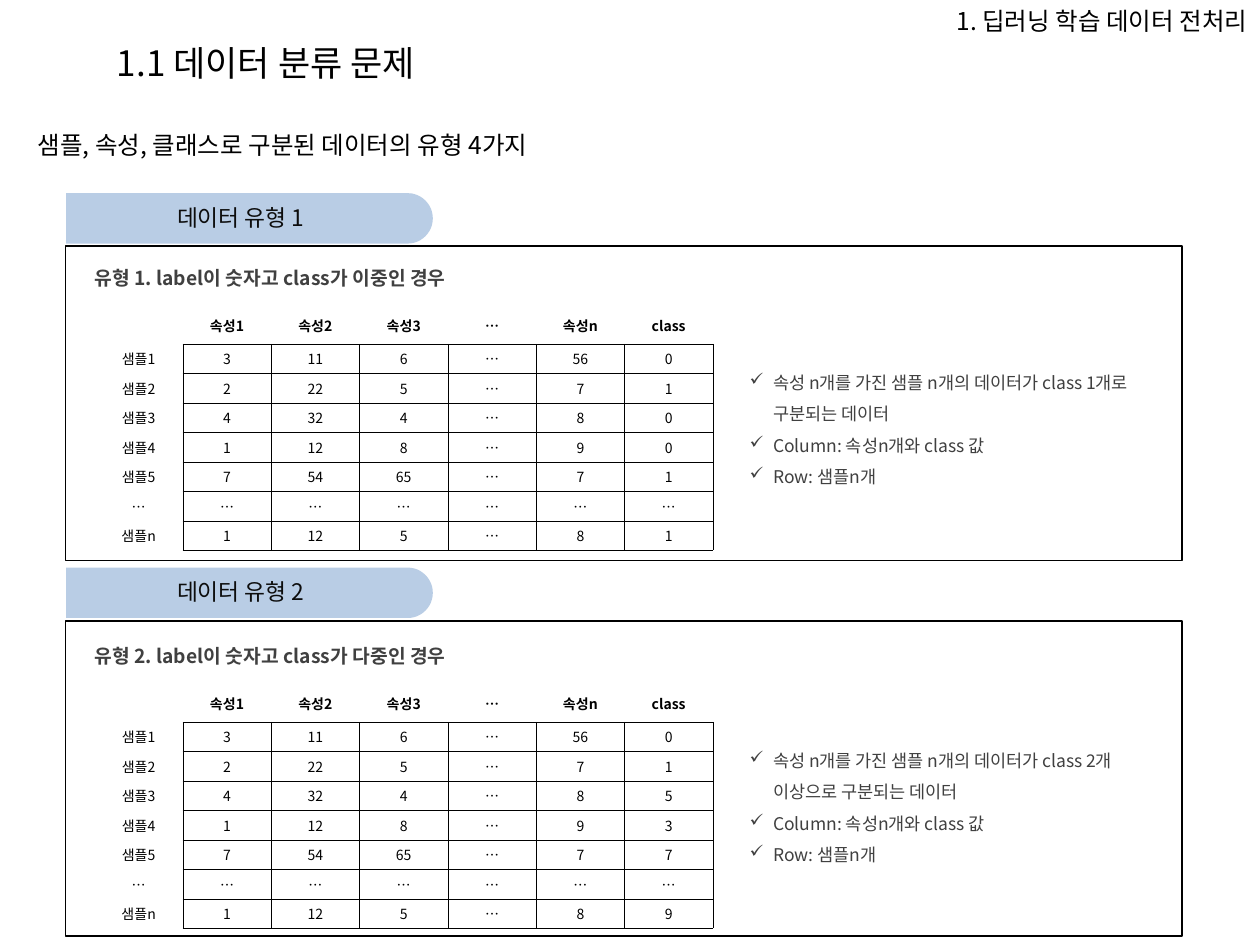
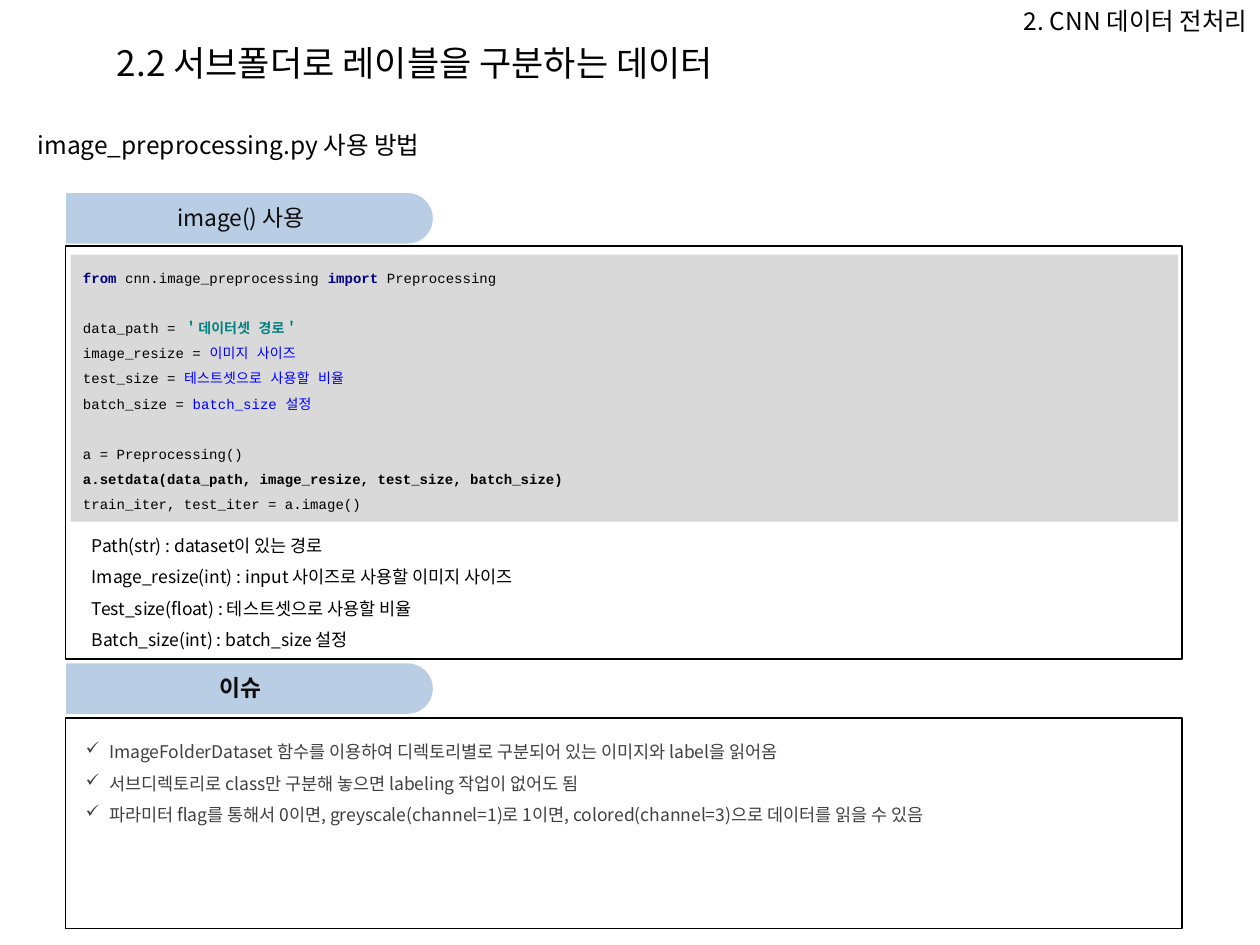
from lxml.etree import SubElement as Sub
from pptx import Presentation as Deck
from pptx.dml.color import RGBColor as Rgb
from pptx.enum.shapes import MSO_SHAPE as Form
from pptx.enum.text import MSO_ANCHOR as Anchor, PP_ALIGN as Align
from pptx.oxml.ns import qn
from pptx.util import Pt

INK = {
    "black": "000000", "dark": "0D0D0D", "gray": "404040", "tab": "B9CDE5",
    "code": "D9D9D9", "navy": "000080", "teal": "008080", "blue": "0000FF",
}
SANS, MONO = "Noto Sans CJK KR", "Courier New"
LEFT, WIDE = 37.44, 637.92
STEP = 1.8
EDGES = ("lnL", "lnR", "lnT", "lnB")

HEADS = ["", "속성1", "속성2", "속성3", "…", "속성n", "class"]
ROWS = [
    ["샘플1", "3", "11", "6", "…", "56"],
    ["샘플2", "2", "22", "5", "…", "7"],
    ["샘플3", "4", "32", "4", "…", "8"],
    ["샘플4", "1", "12", "8", "…", "9"],
    ["샘플5", "7", "54", "65", "…", "7"],
    ["…"] * 6,
    ["샘플n", "1", "12", "5", "…", "8"],
]
CODE = [
    [("from ", "navy", True), ("cnn.image_preprocessing ", "black", False),
     ("import ", "navy", True), ("Preprocessing", "black", False)],
    [("data_path = ", "black", False), ("＇데이터셋 경로＇", "teal", True)],
    [("image_resize = ", "black", False), ("이미지 사이즈", "blue", False)],
    [("test_size = ", "black", False), ("테스트셋으로 사용할 비율", "blue", False)],
    [("batch_size = ", "black", False), ("batch_size 설정", "blue", False)],
    "a = Preprocessing()",
    [("a.setdata(data_path, image_resize, test_size, batch_size)", "black", True)],
    "train_iter, test_iter = a.image()",
]
ARGS = [
    "Path(str) : dataset이 있는 경로",
    "Image_resize(int) : input 사이즈로 사용할 이미지 사이즈",
    "Test_size(float) : 테스트셋으로 사용할 비율",
    "Batch_size(int) : batch_size 설정",
]
NOTES = [
    "ImageFolderDataset 함수를 이용하여 디렉토리별로 구분되어 있는 이미지와 label을 읽어옴",
    "서브디렉토리로 class만 구분해 놓으면 labeling 작업이 없어도 됨",
    "파라미터 flag를 통해서 0이면, greyscale(channel=1)로 1이면, "
    "colored(channel=3)으로 데이터를 읽을 수 있음",
]


def write(frame, lines, size=10, color="black", bold=False, font=SANS,
          align=Align.LEFT, lead=None, tick=False, gaps=()):
    frame.word_wrap = True
    for i, line in enumerate(lines):
        para = frame.paragraphs[0] if i == 0 else frame.add_paragraph()
        para.alignment = align
        if lead:
            para.line_spacing = Pt(lead)
        if i in gaps:
            para.space_before = Pt(lead)
        if tick:
            prop = para._p.get_or_add_pPr()
            prop.set("marL", str(Pt(13.5)))
            prop.set("indent", str(-Pt(13.5)))
            Sub(prop, qn("a:buChar"), char="✓")
        runs = [(line, color, bold)] if isinstance(line, str) else line
        for text, tint, heavy in runs:
            run = para.add_run()
            run.text = text
            run.font.size = Pt(size)
            run.font.bold = heavy
            run.font.name = font
            run.font.color.rgb = Rgb.from_string(INK[tint])
            Sub(run._r.get_or_add_rPr(), qn("a:ea"), typeface=font)


def inset(frame, side=0, edge=0, anchor=Anchor.TOP):
    frame.margin_left = frame.margin_right = Pt(side)
    frame.margin_top = frame.margin_bottom = Pt(edge)
    frame.vertical_anchor = anchor


def label(slide, box, lines, side=0, edge=0, anchor=Anchor.TOP, **style):
    frame = slide.shapes.add_textbox(*map(Pt, box)).text_frame
    inset(frame, side, edge, anchor)
    write(frame, lines, **style)


def block(shapes, form, box, fill=None, line=None):
    shape = shapes.add_shape(form, *map(Pt, box))
    shape.shadow.inherit = False
    if fill:
        shape.fill.solid()
        shape.fill.fore_color.rgb = Rgb.from_string(INK[fill])
    else:
        shape.fill.background()
    if line:
        shape.line.color.rgb = Rgb.from_string(INK[line])
        shape.line.width = Pt(1)
    else:
        shape.line.fill.background()
    return shape


def header(slide, part, title, topic):
    label(slide, (59.76, 15.12, 538.56, 41.04), [title], 7.2, 3.6,
          Anchor.MIDDLE, size=20)
    label(slide, (457.92, 0, 262.08, 24.48), [part], 7.2, 3.6,
          size=14, align=Align.RIGHT)
    label(slide, (14.4, 70.56, 691.92, 24.48), [topic], 7.2, 3.6, size=14)


def panel(slide, top, high, name, rise=30, bold=False):
    block(slide.shapes, Form.RECTANGLE, (LEFT, top, WIDE, high), line="black")
    tab = slide.shapes.add_group_shape().shapes
    wide, tall, y = 209.52, 28.8, top - rise
    cap = block(tab, Form.ROUND_2_SAME_RECTANGLE,
                (LEFT + 0.36 + (wide - tall) / 2, y - (wide - tall) / 2, tall, wide), "tab")
    cap.adjustments[0], cap.adjustments[1] = 0.5, 0
    cap.rotation = 90
    face = block(tab, Form.RECTANGLE, (LEFT + 1.44, y + 0.36, 197.28, 26.64), "tab")
    inset(face.text_frame, anchor=Anchor.MIDDLE)
    write(face.text_frame, [name], size=13, color="dark", bold=bold, align=Align.CENTER)


def border(cell, shown):
    prop = cell._tc.get_or_add_tcPr()
    for i, edge in enumerate(EDGES):
        line = prop.makeelement(qn("a:" + edge), {"w": str(Pt(0.25))})
        prop.insert(i, line)
        if edge in shown:
            fill = Sub(line, qn("a:solidFill"))
            Sub(fill, qn("a:srgbClr"), val=INK["black"])
        else:
            Sub(line, qn("a:noFill"))


def grid(slide, x, y, rows):
    wide, high = 50.5, 16.85
    table = slide.shapes.add_table(
        len(rows), len(rows[0]), Pt(x), Pt(y),
        Pt(wide * len(rows[0])), Pt(high * len(rows))).table
    table.first_row = table.horz_banding = False
    for col in table.columns:
        col.width = Pt(wide)
    for r, row in enumerate(rows):
        table.rows[r].height = Pt(high)
        for c, text in enumerate(row):
            cell = table.cell(r, c)
            inset(cell, anchor=Anchor.MIDDLE)
            cell.fill.background()
            write(cell.text_frame, [text], size=8, bold=r == 0, align=Align.CENTER)
            if r and c:
                border(cell, EDGES)
            else:
                border(cell, ["lnR"] if r else ["lnB"] if c else [])


def sample(slide, top, title, values, about):
    x = LEFT + 16.56
    label(slide, (x, top, 225.36, 18), [title], size=11, color="gray",
          bold=True, lead=11 * STEP)
    grid(slide, x, top + 29.52,
         [HEADS] + [row + [value] for row, value in zip(ROWS, values)])
    label(slide, (LEFT + 390.96, top + 60.5, 225.36, 72.72),
          [about, "Column: 속성n개와 class 값", "Row: 샘플n개"],
          anchor=Anchor.MIDDLE, color="gray", lead=10 * STEP, tick=True)


def usage(slide, top):
    box = block(slide.shapes, Form.RECTANGLE,
                (LEFT + 2.88, top + 5.04, 632.88, 152.64), "code")
    inset(box.text_frame, 7.2, 3.6)
    write(box.text_frame, CODE, size=8, font=MONO, lead=8 * STEP, gaps=(1, 5))
    label(slide, (LEFT + 15.12, top + 159.12, 606.96, 72.72), ARGS, lead=10 * STEP)


def types(slide):
    header(slide, "1. 딥러닝 학습 데이터 전처리", "1.1 데이터 분류 문제",
           "샘플, 속성, 클래스로 구분된 데이터의 유형 4가지")
    panel(slide, 140.4, 180, "데이터 유형 1")
    sample(slide, 145.44, "유형 1. label이 숫자고 class가 이중인 경우", "01001…1",
           "속성 n개를 가진 샘플 n개의 데이터가 class 1개로 구분되는 데이터")
    panel(slide, 354.96, 180, "데이터 유형 2", rise=30.6)
    sample(slide, 361.44, "유형 2. label이 숫자고 class가 다중인 경우", "01537…9",
           "속성 n개를 가진 샘플 n개의 데이터가 class 2개 이상으로 구분되는 데이터")


def folders(slide):
    header(slide, "2. CNN 데이터 전처리", "2.2 서브폴더로 레이블을 구분하는 데이터",
           "image_preprocessing.py 사용 방법")
    panel(slide, 140.4, 236.16, "image() 사용")
    usage(slide, 140.4)
    panel(slide, 410.4, 120.24, "이슈", rise=31.3, bold=True)
    label(slide, (LEFT + 11.52, 417.6, 615.6, 54.72), NOTES,
          color="gray", lead=10 * STEP, tick=True)


def main():
    deck = Deck()
    deck.slide_width, deck.slide_height = Pt(720), Pt(540)
    for build in (types, folders):
        build(deck.slides.add_slide(deck.slide_layouts[6]))
    deck.save("out.pptx")


if __name__ == "__main__":
    main()
